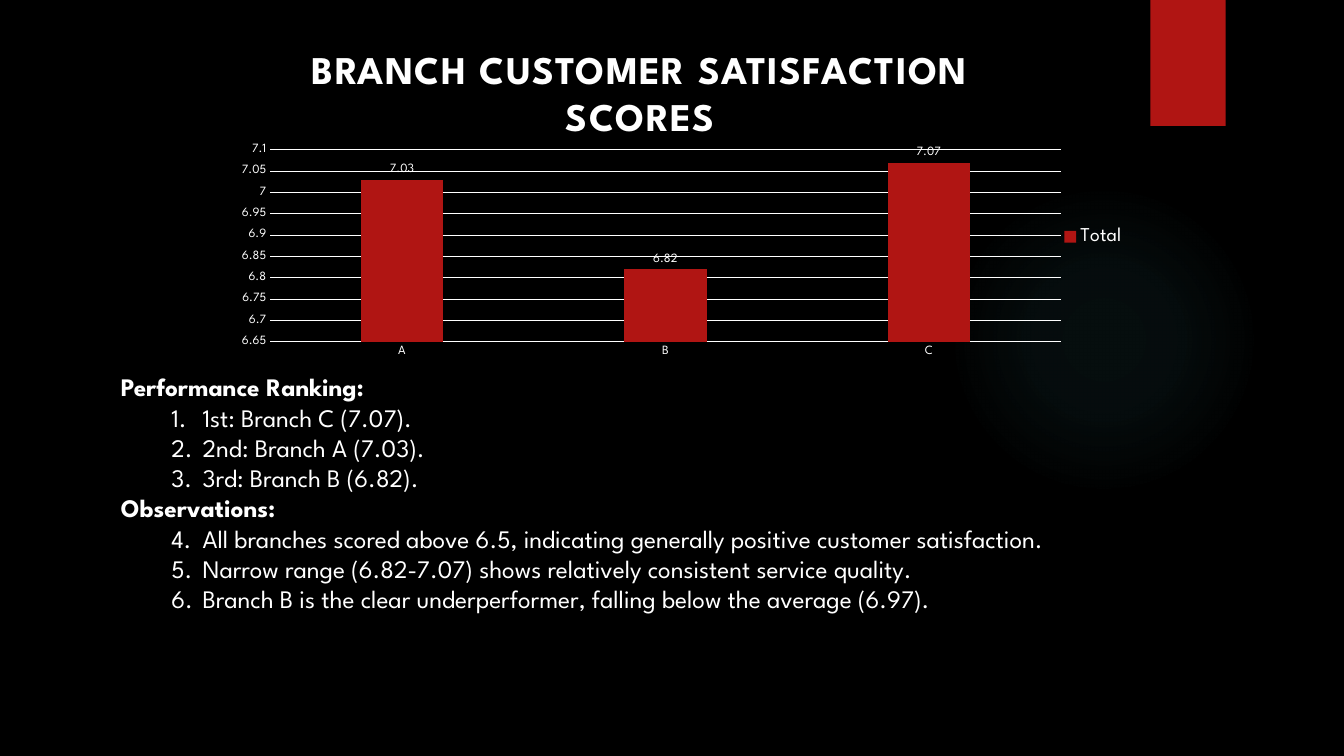
from lxml import etree
from pptx import Presentation
from pptx import util as u
from pptx.chart import data
from pptx.dml import color
from pptx.enum import chart as ch, shapes, text
from pptx.oxml import ns, parse_xml

FACE, WHITE, RED, GLOW = "League Spartan", "FFFFFF", "B01513", "50B9C1"
rgb = color.RGBColor.from_string

deck = Presentation()
deck.slide_width, deck.slide_height = u.Inches(13.333), u.Inches(7.5)
col, row = deck.slide_width / 100, deck.slide_height / 100


def grid(left, top, wide, high):
    """Turn percent of the slide's width and height into lengths."""
    return [u.Emu(round(n * unit)) for n, unit in
            zip((left, top, wide, high), (col, row, col, row))]


def write(para, words, size=18, bold=False, align=None, gap=None):
    para.alignment = align
    para.space_before = u.Pt(0)
    run = para.add_run()
    run.text = words
    font = run.font
    font.name, font.size, font.bold = FACE, u.Pt(size), bold
    font.color.rgb = rgb(WHITE)
    if gap:
        run._r.get_or_add_rPr().set("spc", str(gap * 100))


slide = deck.slides.add_slide(deck.slide_layouts[1])
slide.background.fill.solid()
slide.background.fill.fore_color.rgb = rgb("000000")
title, body = slide.placeholders

# Glow and corner tab
glow = slide.shapes.add_shape(shapes.MSO_SHAPE.OVAL, *grid(70.6, 24.4, 23.1, 41.07))
tab = slide.shapes.add_shape(shapes.MSO_SHAPE.RECTANGLE, *grid(85.6, 0, 5.6, 16.67))
for shape in (glow, tab):
    shape.shadow.inherit = False
    shape.line.fill.background()
    shape.fill.solid()
    shape.fill.fore_color.rgb = rgb(RED)
stops = "".join(
    f'<a:gs pos="{pos}000"><a:srgbClr val="{GLOW}"><a:alpha val="{alpha}000"/></a:srgbClr></a:gs>'
    for pos, alpha in ((0, 7), (36, 6), (69, 0)))
fade = parse_xml(
    f'<a:gradFill {ns.nsdecls("a")}><a:gsLst>{stops}</a:gsLst><a:path path="circle">'
    '<a:fillToRect l="50000" t="50000" r="50000" b="50000"/></a:path></a:gradFill>')
solid = glow._element.spPr.find(ns.qn("a:solidFill"))
solid.getparent().replace(solid, fade)

# Chart
scores = data.CategoryChartData(number_format="0.00")
scores.categories = ["A", "B", "C"]
scores.add_series("Total", [7.03, 6.82, 7.07])
chart = slide.shapes.add_chart(
    ch.XL_CHART_TYPE.COLUMN_CLUSTERED, *grid(17.2, 9.07, 67.6, 39.5), scores).chart
chart.has_title = False
chart.has_legend = True
legend = chart.legend
legend.position = ch.XL_LEGEND_POSITION.RIGHT
legend.include_in_layout = False

plot = chart.plots[0]
plot.gap_width, plot.overlap, plot.vary_by_categories = 219, -27, False
bars = plot.series[0].format.fill
bars.solid()
bars.fore_color.rgb = rgb(RED)
plot.has_data_labels = True
labels = plot.data_labels
labels.show_value = True
labels.number_format, labels.number_format_is_linked = "0.00", False
labels.position = ch.XL_LABEL_POSITION.OUTSIDE_END

cats, vals = chart.category_axis, chart.value_axis
for axis in (cats, vals):
    axis.major_tick_mark = axis.minor_tick_mark = ch.XL_TICK_MARK.NONE
vals.minimum_scale, vals.maximum_scale, vals.major_unit = 6.65, 7.1, 0.05
vals.tick_labels.number_format = "General"
vals.tick_labels.number_format_is_linked = False
vals.format.line.fill.background()
for line in (cats.format.line, vals.major_gridlines.format.line):
    line.width = u.Pt(0.75)
    line.color.rgb = rgb(WHITE)
for font, size in ((chart.font, 10), (cats.tick_labels.font, 9),
                   (vals.tick_labels.font, 9), (labels.font, 9), (legend.font, 14)):
    font.name, font.size, font.bold = FACE, u.Pt(size), False
    font.color.rgb = rgb(WHITE)

# Fixed places inside the chart, as shares of its frame
area, key = chart._chartSpace.chart.plotArea, legend._element
for part, spot, marks in (
        (area, 0, dict(layoutTarget="inner", xMode="edge", yMode="edge",
                       x=0.043, y=0.272, w=0.87, h=0.643)),
        (key, 1, dict(xMode="edge", yMode="edge", x=0.91, y=0.52))):
    for old in part.findall(ns.qn("c:layout")):
        part.remove(old)
    frame = etree.Element(ns.qn("c:layout"))
    manual = etree.SubElement(frame, ns.qn("c:manualLayout"))
    for name, value in marks.items():
        etree.SubElement(manual, ns.qn(f"c:{name}")).set("val", str(value))
    part.insert(spot, frame)

# Title and findings
for holder, place, anchor in (
        (title, (18.2, 5.2, 58.9, 13.9), text.MSO_ANCHOR.MIDDLE),
        (body, (8.25, 48.5, 76.6, 37.7), text.MSO_ANCHOR.TOP)):
    holder.left, holder.top, holder.width, holder.height = grid(*place)
    frame = holder.text_frame
    frame.word_wrap = True
    frame.auto_size = text.MSO_AUTO_SIZE.NONE
    frame.vertical_anchor = anchor
write(title.text_frame.paragraphs[0], "BRANCH CUSTOMER SATISFACTION SCORES",
      size=28, bold=True, align=text.PP_ALIGN.CENTER, gap=1)

findings = (
    ("Performance Ranking:", 1, (
        "1st: Branch C (7.07).",
        "2nd: Branch A (7.03).",
        "3rd: Branch B (6.82).")),
    ("Observations:", 4, (
        "All branches scored above 6.5, indicating generally positive customer satisfaction.",
        "Narrow range (6.82-7.07) shows relatively consistent service quality.",
        "Branch B is the clear underperformer, falling below the average (6.97).")))
para = body.text_frame.paragraphs[0]
for head, start, points in findings:
    for words in (head, *points):
        if para.runs:
            para = body.text_frame.add_paragraph()
        point = words != head
        para.level = int(point)
        write(para, words, bold=not point)
        props = para._p.get_or_add_pPr()
        props.set("marL", str(u.Inches(0.81 * point)))
        props.set("indent", str(u.Inches(-0.31 * point)))
        if point:
            bullet = etree.SubElement(props, ns.qn("a:buFont"))
            bullet.set("typeface", FACE)
            bullet = etree.SubElement(props, ns.qn("a:buAutoNum"))
            bullet.set("type", "arabicPeriod")
            bullet.set("startAt", str(start))
        else:
            etree.SubElement(props, ns.qn("a:buNone"))

deck.save("out.pptx")
